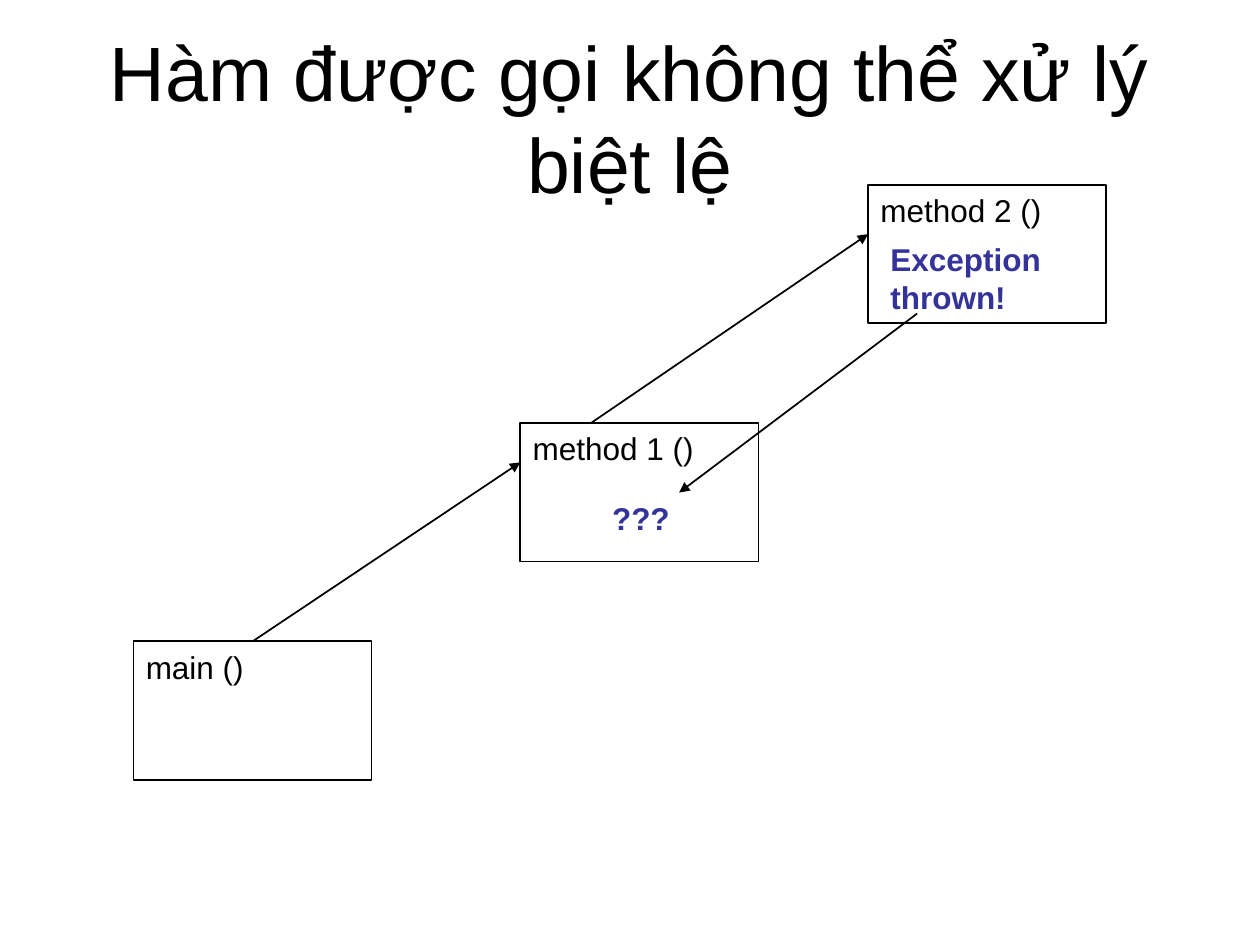
from pptx import Presentation
from pptx.dml.color import RGBColor
from pptx.enum.shapes import MSO_CONNECTOR as Connector, MSO_SHAPE as Shape
from pptx.enum.text import MSO_ANCHOR as Anchor, PP_ALIGN as Align
from pptx.oxml.ns import qn
from pptx.util import Cm, Pt
from lxml.etree import SubElement

BLACK = "000000"
INDIGO = "333399"
BOX_SIZE = (4.8, 2.79)


def color(value):
    return RGBColor.from_string(value)


def write(frame, text, size=18, ink=BLACK, bold=False, align=Align.LEFT, anchor=Anchor.TOP):
    """Fill a text frame with one formatted paragraph."""
    frame.word_wrap = True
    frame.vertical_anchor = anchor
    paragraph = frame.paragraphs[0]
    paragraph.alignment = align
    run = paragraph.add_run()
    run.text = text
    run.font.name = "Arial"
    run.font.size = Pt(size)
    run.font.bold = bold
    run.font.color.rgb = color(ink)


def add_label(slide, text, left, top, width, height, **text_format):
    label = slide.shapes.add_textbox(Cm(left), Cm(top), Cm(width), Cm(height))
    write(label.text_frame, text, **text_format)


def add_method(slide, name, left, top):
    width, height = BOX_SIZE
    method = slide.shapes.add_shape(Shape.RECTANGLE, Cm(left), Cm(top), Cm(width), Cm(height))
    method.shadow.inherit = False
    method.fill.background()
    method.line.color.rgb = color(BLACK)
    method.line.width = Pt(1)
    write(method.text_frame, name)
    return method


def add_arrow(slide, start, end):
    arrow = slide.shapes.add_connector(Connector.STRAIGHT, *map(Cm, start + end))
    arrow.line.color.rgb = color(BLACK)
    arrow.line.width = Pt(1)
    SubElement(arrow.line._get_or_add_ln(), qn("a:tailEnd"), type="triangle")
    SubElement(arrow._element.spPr, qn("a:effectLst"))
    return arrow


def main():
    deck = Presentation()
    deck.slide_width, deck.slide_height = Cm(25.4), Cm(19.05)
    slide = deck.slides.add_slide(deck.slide_layouts[6])

    add_label(slide, "Hàm được gọi không thể xử lý biệt lệ", 1.27, 0.76, 22.86, 3.18,
              size=44, align=Align.CENTER, anchor=Anchor.MIDDLE)

    main_method = add_method(slide, "main ()", 2.69, 12.93)
    add_method(slide, "method 1 ()", 10.49, 8.53)
    first_call = add_arrow(slide, (5.09, 12.93), (10.49, 9.32))
    first_call.begin_connect(main_method, 0)
    add_method(slide, "method 2 ()", 17.5, 3.73)
    add_arrow(slide, (11.91, 8.53), (17.5, 4.72))

    add_label(slide, "Exception thrown!", 17.7, 4.72, 3.61, 1.78, ink=INDIGO, bold=True)
    add_arrow(slide, (18.49, 6.32), (13.69, 9.93))
    add_label(slide, "???", 12.09, 9.93, 1.8, 1.02, ink=INDIGO, bold=True)

    deck.save("out.pptx")


if __name__ == "__main__":
    main()
